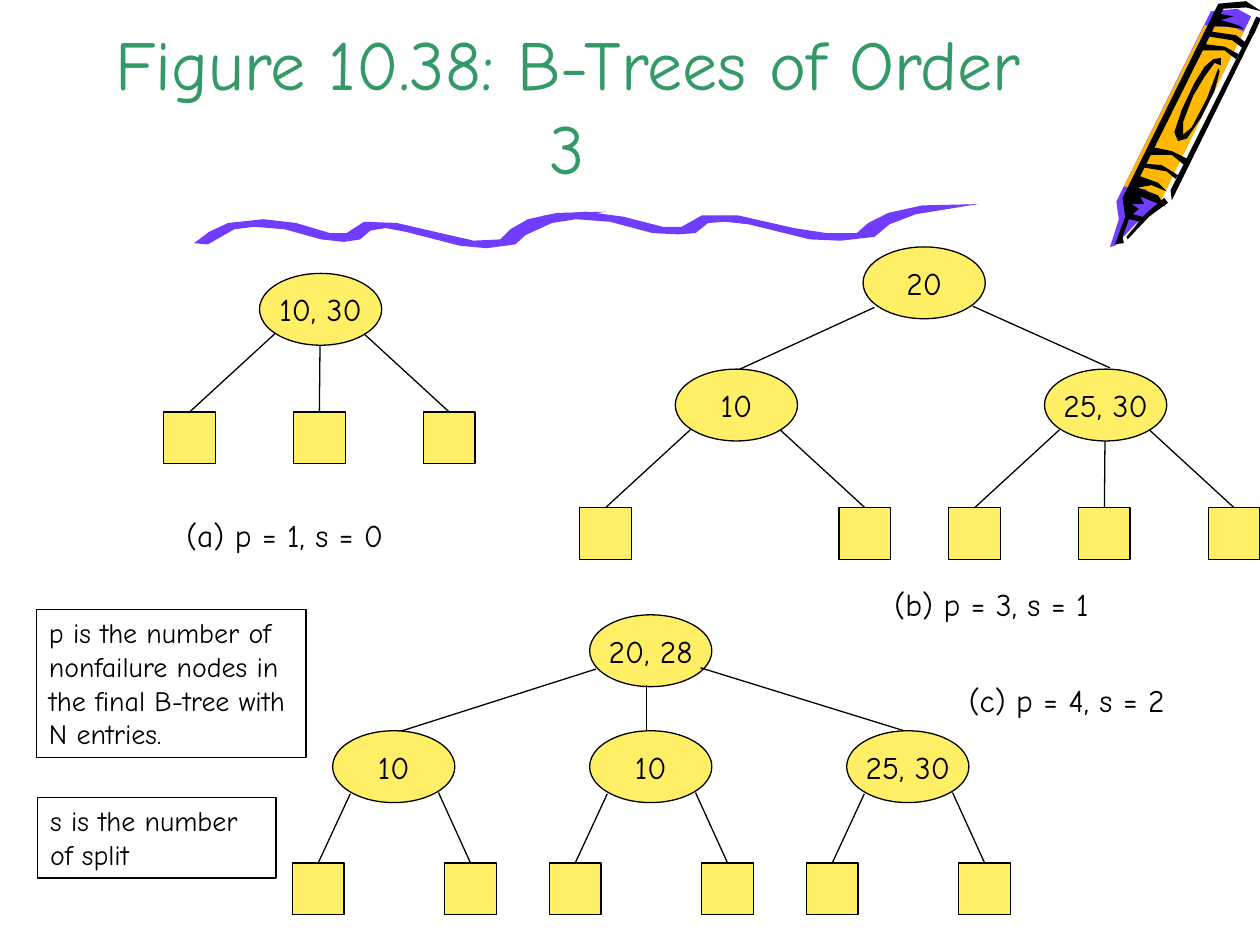
from pptx import Presentation
from pptx.dml.color import RGBColor
from pptx.enum.shapes import MSO_CONNECTOR, MSO_SHAPE
from pptx.enum.text import MSO_ANCHOR, MSO_AUTO_SIZE, PP_ALIGN
from pptx.oxml.ns import qn
from pptx.util import Pt

LINE = MSO_CONNECTOR.STRAIGHT
OVAL, RECT = MSO_SHAPE.OVAL, MSO_SHAPE.RECTANGLE
CENTER, LEFT = PP_ALIGN.CENTER, PP_ALIGN.LEFT
MIDDLE, BOTTOM = MSO_ANCHOR.MIDDLE, MSO_ANCHOR.BOTTOM
NO_FIT = MSO_AUTO_SIZE.NONE

SCALE = 9144  # EMU per px, 100 px to the inch
FONT = "Comic Neue"
BLACK = RGBColor(0x00, 0x00, 0x00)
GREEN = RGBColor(0x33, 0x99, 0x66)
YELLOW = RGBColor(0xFF, 0xEF, 0x66)
PURPLE = RGBColor(0x70, 0x3D, 0xFF)
ORANGE = RGBColor(0xFF, 0xB8, 0x00)

NODE_W, NODE_H, LEAF = 97, 57, 41
# Leaf left edge, then the x and y where its edge meets the node
WIDE = [(-76, 12, 48), (130, 83, 48)]
FULL = WIDE + [(27, 48, 57)]
NARROW = [(-32, 14, 50), (89, 84, 49)]

# Crayon parts, relative to its box
CRAYON = [
    (PURPLE, [(113, 13), (37, 166), (21, 178), (5, 195), (1, 196), (8, 174),
              (6, 160), (81, 9), (102, 7)]),
    (ORANGE, [(41, 160), (29, 150), (12, 148), (76, 20), (99, 22), (107, 25)]),
    (BLACK, [(47, 161), (32, 172), (15, 190), (14, 188), (29, 170), (44, 157)]),
    (BLACK, [(107, 23), (93, 21), (81, 21), (88, 11), (99, 13), (89, 16),
             (103, 20)]),
    (BLACK, [(88, 57), (84, 72), (73, 94), (62, 110), (55, 112), (52, 105),
             (58, 87), (68, 66), (76, 53), (83, 47), (89, 46), (89, 52),
             (84, 50), (76, 61), (67, 76), (59, 97), (59, 107), (66, 101),
             (78, 78), (87, 54)]),
    (BLACK, [(117, 23), (50, 159), (49, 151), (113, 23)]),
    (BLACK, [(45, 164), (39, 155), (23, 149), (34, 147), (46, 152), (39, 145),
             (25, 140), (91, 7), (109, 6), (121, 9), (109, 1), (87, 3),
             (11, 157), (13, 172), (5, 194), (12, 193), (11, 188), (16, 174),
             (25, 176), (30, 173), (19, 170), (24, 166), (18, 162), (28, 162),
             (25, 156)]),
    (BLACK, [(53, 142), (46, 136), (28, 133), (29, 130), (42, 131), (55, 139)]),
    (BLACK, [(60, 131), (50, 123), (33, 123), (36, 117), (50, 120), (62, 126)]),
    (BLACK, [(101, 47), (92, 40), (73, 40), (76, 35), (92, 37), (103, 43)]),
    (BLACK, [(106, 38), (98, 32), (79, 29), (81, 25), (101, 28), (109, 34)]),
]
# The two halves of the wavy rule, relative to its box
WAVES = [
    [(11, 32), (32, 20), (48, 18), (72, 20), (101, 28), (119, 30), (132, 28),
     (140, 21), (152, 19), (168, 22), (211, 33), (232, 35), (255, 32),
     (266, 22), (284, 13), (327, 6), (288, 7), (265, 12), (251, 20), (243, 28),
     (222, 29), (200, 24), (161, 15), (135, 14), (121, 23), (108, 23),
     (81, 15), (55, 12), (27, 15), (12, 22), (0, 31)],
    [(260, 26), (284, 15), (303, 12), (330, 14), (364, 23), (384, 24),
     (398, 23), (408, 15), (421, 14), (440, 16), (489, 28), (513, 29),
     (540, 26), (552, 16), (573, 8), (622, 0), (578, 1), (551, 7), (535, 15),
     (526, 23), (502, 23), (476, 19), (432, 9), (403, 9), (387, 18),
     (372, 18), (341, 10), (311, 6), (278, 9), (261, 16), (247, 26)],
]


def px(*nums):
    return [round(n * SCALE) for n in nums]


def style(para, size, color=BLACK, align=LEFT):
    para.alignment = align
    font = para.font
    font.name, font.size, font.color.rgb = FONT, Pt(size), color


def shape(slide, kind, x, y, w, h):
    item = slide.shapes.add_shape(kind, *px(x, y, w, h))
    item.shadow.inherit = False
    item.fill.solid()
    item.fill.fore_color.rgb = YELLOW
    item.line.color.rgb = BLACK
    item.line.width = Pt(0.75)
    return item


def link(slide, x1, y1, x2, y2, width=0.75):
    line = slide.shapes.add_connector(LINE, *px(x1, y1, x2, y2))
    line.line.color.rgb = BLACK
    line.line.width = Pt(width)
    props = line._element.spPr
    props.append(props.makeelement(qn("a:effectLst"), {}))
    return line


def outline(slide, x, y, points, color):
    pen = slide.shapes.build_freeform(*points[0], scale=SCALE)
    pen.add_line_segments(points[1:], close=True)
    item = pen.convert_to_shape(*px(x, y))
    item.shadow.inherit = False
    item.fill.solid()
    item.fill.fore_color.rgb = color
    item.line.fill.background()


def decor(slide, x, y):
    for color, points in CRAYON:
        outline(slide, x, y, points, color)
    link(slide, x + 119, y + 14, x + 113, y + 27, 3)
    for points in WAVES:
        outline(slide, 154, 162, points, PURPLE)


def title(slide, x, y, w, h, text):
    head = slide.shapes.title
    head.left, head.top, head.width, head.height = px(x, y, w, h)
    frame = head.text_frame
    frame.text = text
    frame.word_wrap = True
    frame.auto_size = NO_FIT
    frame.vertical_anchor = BOTTOM
    style(frame.paragraphs[0], 40, GREEN, CENTER)


def node(slide, x, y, label):
    frame = shape(slide, OVAL, x, y, NODE_W, NODE_H).text_frame
    frame.text = label
    frame.word_wrap = False
    frame.vertical_anchor = MIDDLE
    style(frame.paragraphs[0], 18, align=CENTER)


def branch(slide, x, y, label, leaves, drop):
    """A node with its leaves, each joined at the middle of its top."""
    node(slide, x, y, label)
    for left, dx, dy in leaves:
        leaf = shape(slide, RECT, x + left, y + drop, LEAF, LEAF)
        edge = link(slide, x + left, y + drop, x + dx, y + dy)
        edge.begin_connect(leaf, 0)


def root(slide, x, y, label, edges):
    node(slide, x, y, label)
    for x1, y1, x2, y2 in edges:
        link(slide, x + x1, y + y1, x + x2, y + y2)


def note(slide, x, y, w, h, text, size=18, framed=False):
    box = slide.shapes.add_textbox(*px(x, y, w, h))
    if framed:
        box.line.color.rgb = BLACK
        box.line.width = Pt(0.75)
    frame = box.text_frame
    frame.word_wrap = True
    frame.text = text
    style(frame.paragraphs[0], size)


def main():
    deck = Presentation()
    deck.slide_width, deck.slide_height = px(1000, 750)
    slide = deck.slides.add_slide(deck.slide_layouts[5])

    decor(slide, 880, 0)
    title(slide, 75, 0, 751, 155, "Figure 10.38: B-Trees of Order 3")

    # Tree (a)
    branch(slide, 206, 217, "10, 30", FULL, 110)
    note(slide, 138, 405, 221, 40, "(a) p = 1, s = 0")

    # Tree (b)
    root(slide, 685, 196, "20", [(9, 48, -100, 98), (87, 47, 196, 96)])
    branch(slide, 536, 293, "10", WIDE, 110)
    branch(slide, 829, 293, "25, 30", FULL, 110)
    note(slide, 700, 459, 221, 40, "(b) p = 3, s = 1")

    # Tree (c)
    root(slide, 468, 488, "20, 28",
         [(5, 43, -152, 93), (45, 56, 45, 93), (88, 42, 256, 94)])
    for i, label in enumerate(["10", "10", "25, 30"]):
        branch(slide, 264 + 204 * i, 580, label, NARROW, 105)
    note(slide, 759, 536, 221, 40, "(c) p = 4, s = 2")

    # Meaning of p and s
    note(slide, 29, 484, 214, 117, "p is the number of nonfailure nodes in "
         "the final B-tree with N entries.", 16, True)
    note(slide, 30, 633, 189, 64, "s is the number of split", 16, True)

    deck.save("out.pptx")


if __name__ == "__main__":
    main()
